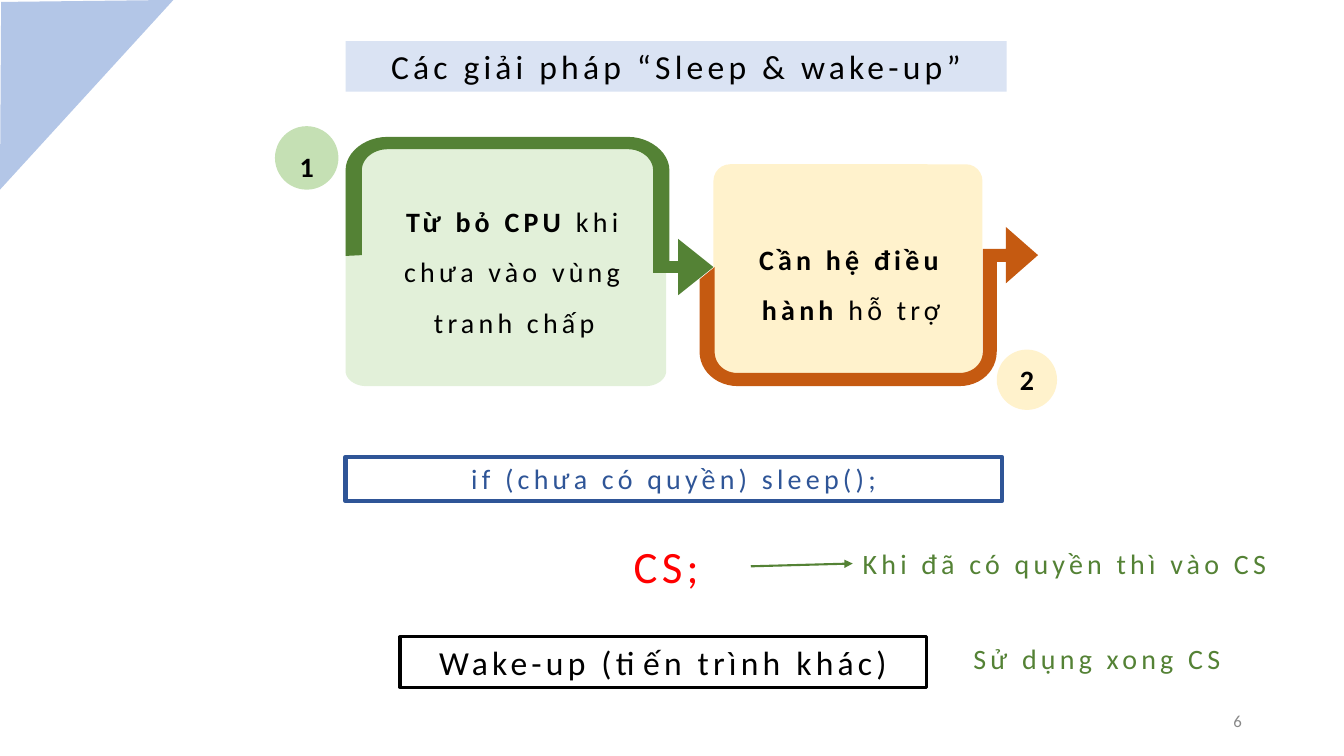
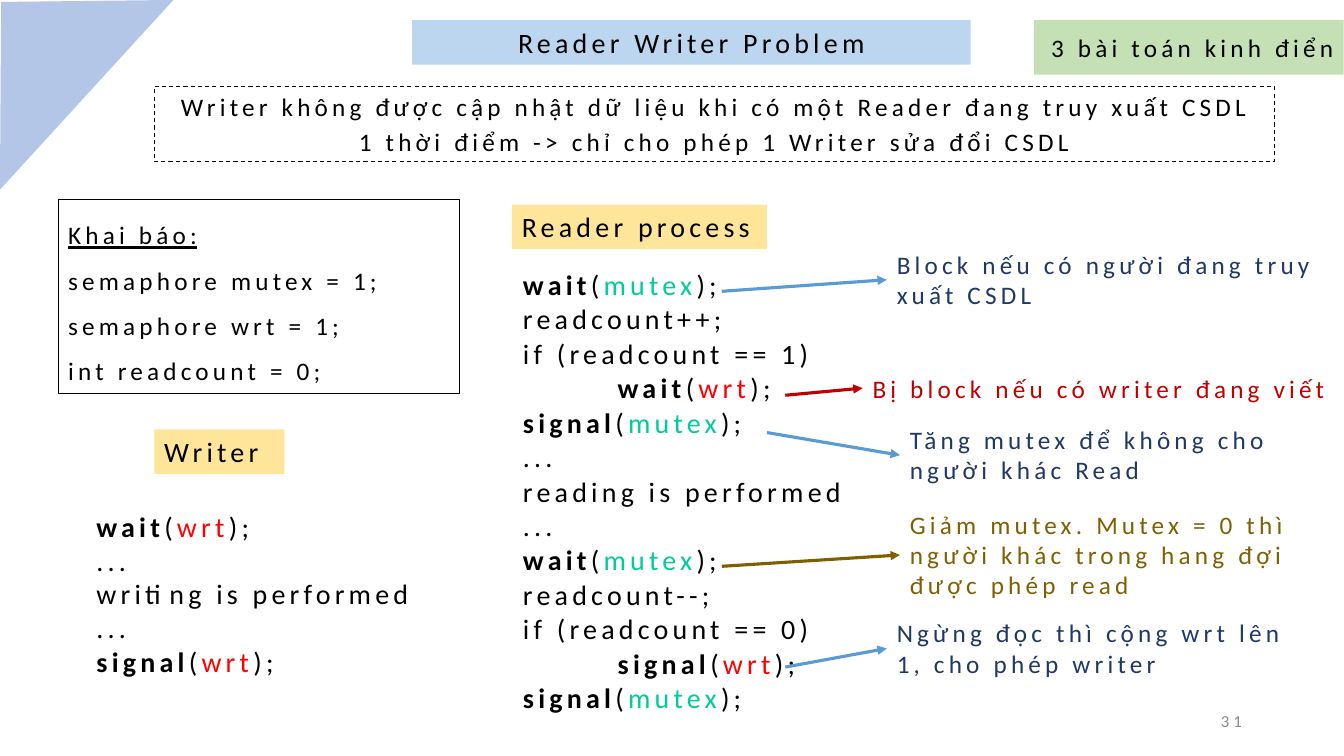
from dataclasses import dataclass

from lxml.etree import SubElement
from pptx import Presentation
from pptx.dml.color import RGBColor
from pptx.enum.dml import MSO_LINE
from pptx.enum.shapes import MSO_CONNECTOR, MSO_SHAPE
from pptx.enum.text import MSO_ANCHOR, PP_ALIGN
from pptx.oxml.ns import qn
from pptx.util import Cm, Pt


@dataclass(frozen=True)
class Theme:
    font: str = "Calibri"
    tracking: int = 300
    large: int = 32
    heading: int = 24
    body: int = 20
    note: int = 18
    footer: int = 12
    black: str = "000000"
    gray: str = "888888"
    red: str = "FF0000"
    dark_red: str = "C00000"
    teal: str = "00CC99"
    corner: str = "B3C6E7"
    pale_blue: str = "DAE3F3"
    light_blue: str = "BBD6EE"
    blue: str = "5B9BD5"
    deep_blue: str = "2F5597"
    navy: str = "1F3864"
    pale_green: str = "E2F0D9"
    light_green: str = "C5E0B4"
    green: str = "548235"
    cream: str = "FFF2CC"
    yellow: str = "FEE599"
    orange: str = "C55A11"
    olive: str = "7F6000"


THEME = Theme()


@dataclass(frozen=True)
class Run:
    text: str
    bold: bool = False
    underline: bool = False
    color: str | None = None


def rgb(color):
    return RGBColor.from_string(color)


def write_text(shape, paragraphs, *, size=THEME.body, color=THEME.black,
               align=PP_ALIGN.LEFT, anchor=MSO_ANCHOR.TOP, line_spacing=1.0,
               space_before=0, inset=None, tracking=THEME.tracking):
    """Fill a shape; each paragraph is a string or a list of Run objects."""
    frame = shape.text_frame
    frame.word_wrap = True
    frame.vertical_anchor = anchor
    if inset is not None:
        frame.margin_left = frame.margin_right = Cm(inset)
        frame.margin_top = frame.margin_bottom = Cm(inset)
    for index, content in enumerate(paragraphs):
        paragraph = frame.add_paragraph() if index else frame.paragraphs[0]
        paragraph.alignment = align
        paragraph.line_spacing = line_spacing
        paragraph.space_before = Pt(space_before if index else 0)
        for part in [Run(content)] if isinstance(content, str) else content:
            run = paragraph.add_run()
            run.text = part.text
            run.font.name = THEME.font
            run.font.size = Pt(size)
            run.font.bold = part.bold
            run.font.underline = part.underline
            run.font.color.rgb = rgb(part.color or color)
            run._r.get_or_add_rPr().set("spc", str(tracking))


def paint(shape, fill=None, line=None, line_width=0.75, dash=None):
    shape.shadow.inherit = False
    if fill:
        shape.fill.solid()
        shape.fill.fore_color.rgb = rgb(fill)
    else:
        shape.fill.background()
    if line:
        shape.line.color.rgb = rgb(line)
        shape.line.width = Pt(line_width)
        if dash:
            shape.line.dash_style = dash
    else:
        shape.line.fill.background()


def add_label(slide, area, *paragraphs, **text_format):
    box = slide.shapes.add_textbox(*map(Cm, area))
    write_text(box, paragraphs, **text_format)


def add_panel(slide, area, *paragraphs, preset=MSO_SHAPE.RECTANGLE, fill=None,
              line=None, line_width=0.75, dash=None, **text_format):
    panel = slide.shapes.add_shape(preset, *map(Cm, area))
    paint(panel, fill, line, line_width, dash)
    if paragraphs:
        write_text(panel, paragraphs, **text_format)
    return panel


def curve_points(start, controls, steps=12):
    """Sample a cubic curve from start; controls holds x, y of three points."""
    points = [start, controls[:2], controls[2:4], controls[4:]]
    for step in range(1, steps + 1):
        t = step / steps
        weights = ((1 - t) ** 3, 3 * t * (1 - t) ** 2, 3 * t * t * (1 - t), t ** 3)
        yield tuple(sum(weight * point[axis] for weight, point in zip(weights, points))
                    for axis in (0, 1))


def add_outline(slide, fill, *segments):
    """Draw a closed outline; two numbers are a corner, six are a curve."""
    points = [segments[0]]
    for segment in segments[1:]:
        points.extend([segment] if len(segment) == 2
                      else curve_points(points[-1], segment))
    start, *rest = [(Cm(x), Cm(y)) for x, y in points]
    builder = slide.shapes.build_freeform(*start)
    builder.add_line_segments(rest, close=True)
    paint(builder.convert_to_shape(), fill)


def add_arrow(slide, start, end, color, width):
    arrow = slide.shapes.add_connector(MSO_CONNECTOR.STRAIGHT, *map(Cm, start + end))
    arrow.line.color.rgb = rgb(color)
    arrow.line.width = Pt(width)
    SubElement(arrow.line._get_or_add_ln(), qn("a:tailEnd"), type="triangle")
    SubElement(arrow._element.spPr, qn("a:effectLst"))


def add_note(slide, area, text, arrow_start, color, arrow_color=None,
             arrow_width=2.25, size=THEME.note):
    """Add a remark with an arrow ending at the middle of its left side."""
    left, top, _, height = area
    add_label(slide, area, text, size=size, color=color)
    add_arrow(slide, arrow_start, (left, top + height / 2),
              arrow_color or color, arrow_width)


def add_title(slide, area, text, **options):
    add_panel(slide, area, text, align=PP_ALIGN.CENTER, **options)


def add_base_slide(presentation, number):
    slide = presentation.slides.add_slide(presentation.slide_layouts[6])
    add_outline(slide, THEME.corner, (0.03, 0.05), (0, 4.78), (4.37, 0))
    add_label(slide, (23.93, 17.65, 7.62, 1.02), str(number), size=THEME.footer,
              color=THEME.gray, align=PP_ALIGN.RIGHT, anchor=MSO_ANCHOR.MIDDLE)
    return slide


def add_badge(slide, left, top, size, text, fill, line_spacing=1.0):
    add_panel(slide, (left, top, size, size), [Run(text, bold=True)],
              preset=MSO_SHAPE.OVAL, fill=fill, align=PP_ALIGN.CENTER, inset=0,
              anchor=MSO_ANCHOR.MIDDLE, line_spacing=line_spacing, tracking=0)


def semaphore_call(function, semaphore, indent=""):
    color = THEME.teal if semaphore == "mutex" else THEME.red
    return [Run(indent + function, bold=True), Run("("),
            Run(semaphore, color=color), Run(");")]


def add_give_up_step(slide):
    add_outline(
        slide, THEME.pale_green,
        (9.22, 3.68), (8.94, 3.68, 9.07, 4.09, 8.71, 4.29),
        (8.71, 9.35), (8.71, 9.55, 8.94, 9.73, 9.22, 9.73),
        (16.28, 9.73), (16.56, 9.73, 16.79, 9.55, 16.79, 9.35),
        (16.79, 4.06), (16.79, 3.86, 16.56, 3.68, 16.28, 3.68))
    add_label(slide, (9.2, 4.6, 7.52, 3.96),
              [Run("Từ bỏ CPU ", bold=True), Run("khi chưa vào vùng tranh chấp")],
              align=PP_ALIGN.CENTER, line_spacing=1.5)
    add_outline(
        slide, THEME.green,
        (9.78, 3.45), (9.19, 3.45, 8.71, 3.84, 8.71, 4.29),
        (8.71, 6.45), (9.12, 6.43), (9.12, 4.29),
        (9.12, 4.01, 9.4, 3.76, 9.78, 3.76),
        (15.82, 3.76), (16.18, 3.76, 16.46, 4.01, 16.46, 4.29),
        (16.46, 6.88), (17.09, 6.88), (17.09, 7.44), (17.98, 6.73),
        (17.09, 6.02), (17.09, 6.58), (16.87, 6.58), (16.87, 4.29),
        (16.87, 3.84, 16.38, 3.45, 15.82, 3.45))
    add_badge(slide, 6.93, 3.18, 1.6, "1", THEME.light_green, line_spacing=1.5)


def add_system_support_step(slide):
    card = add_panel(slide, (17.98, 4.14, 6.78, 5.26), fill=THEME.cream,
                     preset=MSO_SHAPE.ROUNDED_RECTANGLE)
    card.adjustments[0] = 0.08
    add_label(slide, (18.06, 5.56, 6.78, 2.69),
              [Run("Cần hệ điều hành", bold=True), Run(" hỗ trợ")],
              align=PP_ALIGN.CENTER, line_spacing=1.5)
    add_outline(
        slide, THEME.orange,
        (25.35, 5.72), (25.35, 6.27), (24.77, 6.27), (24.77, 8.86),
        (24.77, 9.17, 24.51, 9.4, 24.18, 9.4),
        (18.59, 9.4), (18.26, 9.4, 18.01, 9.17, 18.01, 8.86),
        (18.01, 6.73), (17.63, 7.04), (17.63, 8.86),
        (17.63, 9.35, 18.06, 9.73, 18.59, 9.73),
        (24.18, 9.73), (24.71, 9.73, 25.12, 9.35, 25.12, 8.86),
        (25.12, 6.6), (25.35, 6.6), (25.35, 7.14), (26.16, 6.43))
    add_badge(slide, 25.12, 8.81, 1.52, "2", THEME.cream)


def build_sleep_slide(presentation):
    slide = add_base_slide(presentation, 6)
    add_title(slide, (8.71, 1.04, 16.66, 1.27), "Các giải pháp “Sleep & wake-up”",
              fill=THEME.pale_blue, size=THEME.heading)
    add_give_up_step(slide)
    add_system_support_step(slide)
    add_panel(slide, (8.71, 11.51, 16.54, 1.12), "if (chưa có quyền) sleep();",
              line=THEME.deep_blue, line_width=3, color=THEME.deep_blue,
              align=PP_ALIGN.CENTER)
    add_panel(slide, (10.08, 16.05, 13.26, 1.27), "Wake-up (tiến trình khác)",
              line=THEME.black, line_width=2.25, size=THEME.heading,
              align=PP_ALIGN.CENTER)
    add_label(slide, (15.47, 13.46, 2.64, 1.63), "CS;", size=THEME.large,
              color=THEME.red, align=PP_ALIGN.CENTER)
    add_note(slide, (21.49, 13.64, 11.6, 1.12), "Khi đã có quyền thì vào CS",
             (18.92, 14.27), THEME.green, arrow_width=1.5, size=THEME.body)
    add_label(slide, (24.28, 16.05, 7.5, 1.12), "Sử dụng xong CS", color=THEME.green)


def add_process_code(slide):
    indent = " " * 9
    add_label(
        slide, (12.93, 6.71, 9.86, 12.34),
        semaphore_call("wait", "mutex"),
        "readcount++;",
        "if (readcount == 1)",
        semaphore_call("wait", "wrt", indent),
        semaphore_call("signal", "mutex"),
        "...",
        "reading is performed",
        "...",
        semaphore_call("wait", "mutex"),
        "readcount--;",
        "if (readcount == 0)",
        semaphore_call("signal", "wrt", indent),
        semaphore_call("signal", "mutex"),
        line_spacing=0.9, space_before=3)
    add_label(slide, (2.18, 12.72, 10.49, 4.55),
              semaphore_call("wait", "wrt"), "...", "writing is performed", "...",
              semaphore_call("signal", "wrt"))
    for area, name in (((3.89, 10.82, 3.28, 1.12), "Writer"),
                       ((12.9, 5.16, 6.43, 1.12), "Reader process")):
        add_panel(slide, area, name, fill=THEME.yellow)


def build_reader_writer_slide(presentation):
    slide = add_base_slide(presentation, 31)
    add_panel(slide, (3.89, 2.18, 28.22, 1.9),
              "Writer không được cập nhật dữ liệu khi có một Reader đang truy xuất CSDL",
              "1 thời điểm -> chỉ cho phép 1 Writer sửa đổi CSDL",
              line=THEME.black, dash=MSO_LINE.DASH, size=THEME.note,
              align=PP_ALIGN.CENTER, space_before=3)
    add_panel(slide, (26.06, 0.51, 7.8, 1.37), "3 bài toán kinh điển",
              fill=THEME.light_green, size=THEME.note, align=PP_ALIGN.RIGHT,
              anchor=MSO_ANCHOR.MIDDLE)
    add_title(slide, (10.39, 0.51, 14.07, 1.12), "Reader Writer Problem",
              fill=THEME.light_blue)
    add_process_code(slide)
    add_panel(slide, (1.47, 5.03, 10.11, 4.88), [Run("Khai báo:", underline=True)],
              "semaphore mutex = 1;", "semaphore wrt = 1;", "int readcount = 0;",
              line=THEME.black, size=THEME.note, line_spacing=1.5)
    notes = (
        ((22.35, 6.15, 11.18, 1.8), "Block nếu có người đang truy xuất CSDL",
         (18.19, 7.34), THEME.navy, THEME.blue),
        ((21.74, 9.27, 12.4, 1.02), "Bị block nếu có writer đang viết",
         (19.79, 9.96), THEME.dark_red),
        ((22.35, 15.44, 11.18, 1.8), "Ngừng đọc thì cộng wrt lên 1, cho phép writer",
         (19.79, 16.81), THEME.navy, THEME.blue),
        ((22.68, 10.57, 11.18, 1.8), "Tăng mutex để không cho người khác Read",
         (19.33, 10.9), THEME.navy, THEME.blue),
        ((22.68, 12.7, 11.18, 2.57),
         "Giảm mutex. Mutex = 0 thì người khác trong hang đợi được phép read",
         (18.19, 14.27), THEME.olive),
    )
    for note in notes:
        add_note(slide, *note)


def main():
    presentation = Presentation()
    presentation.slide_width = Cm(33.87)
    presentation.slide_height = Cm(19.05)
    build_sleep_slide(presentation)
    build_reader_writer_slide(presentation)
    presentation.save("out.pptx")


if __name__ == "__main__":
    main()
